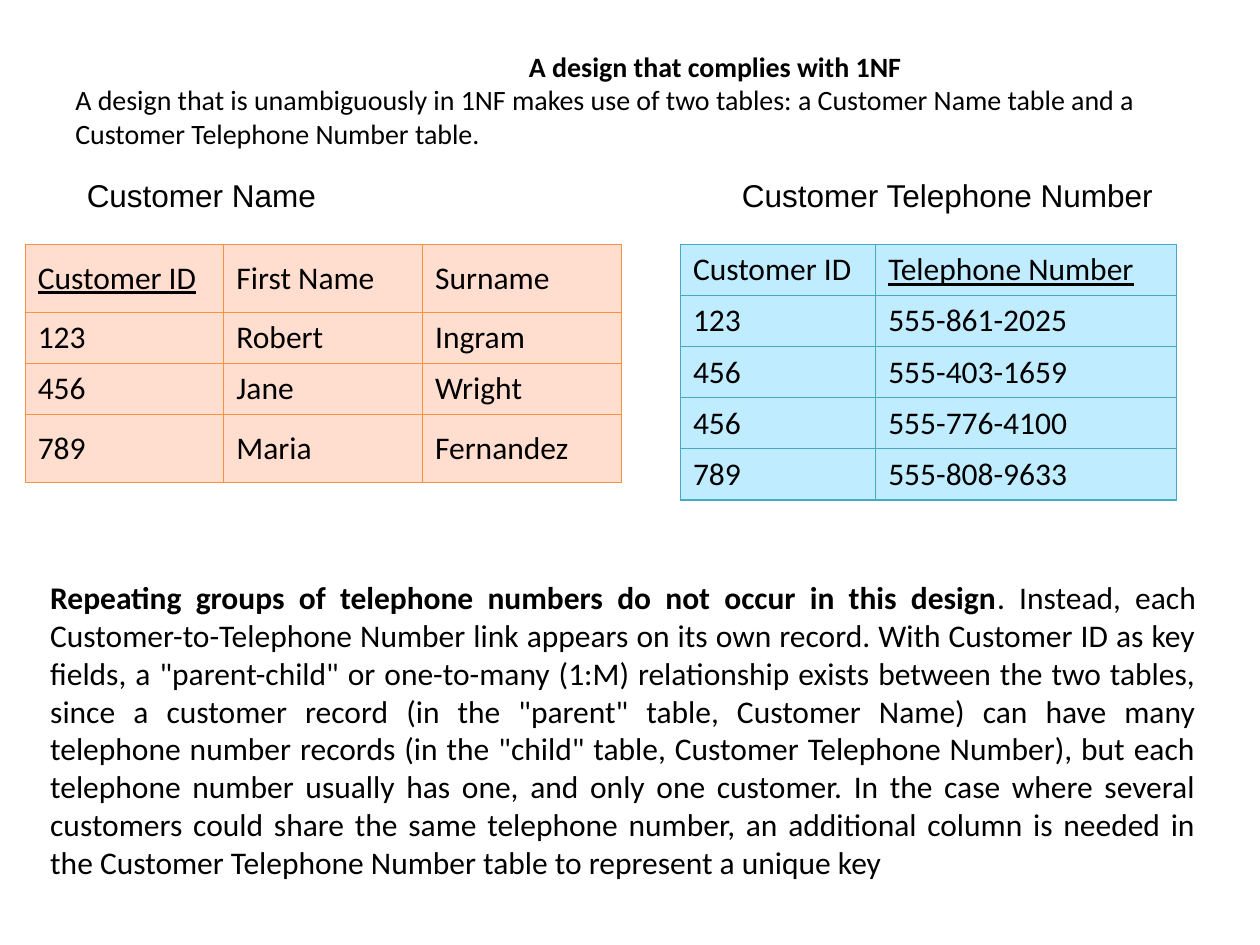
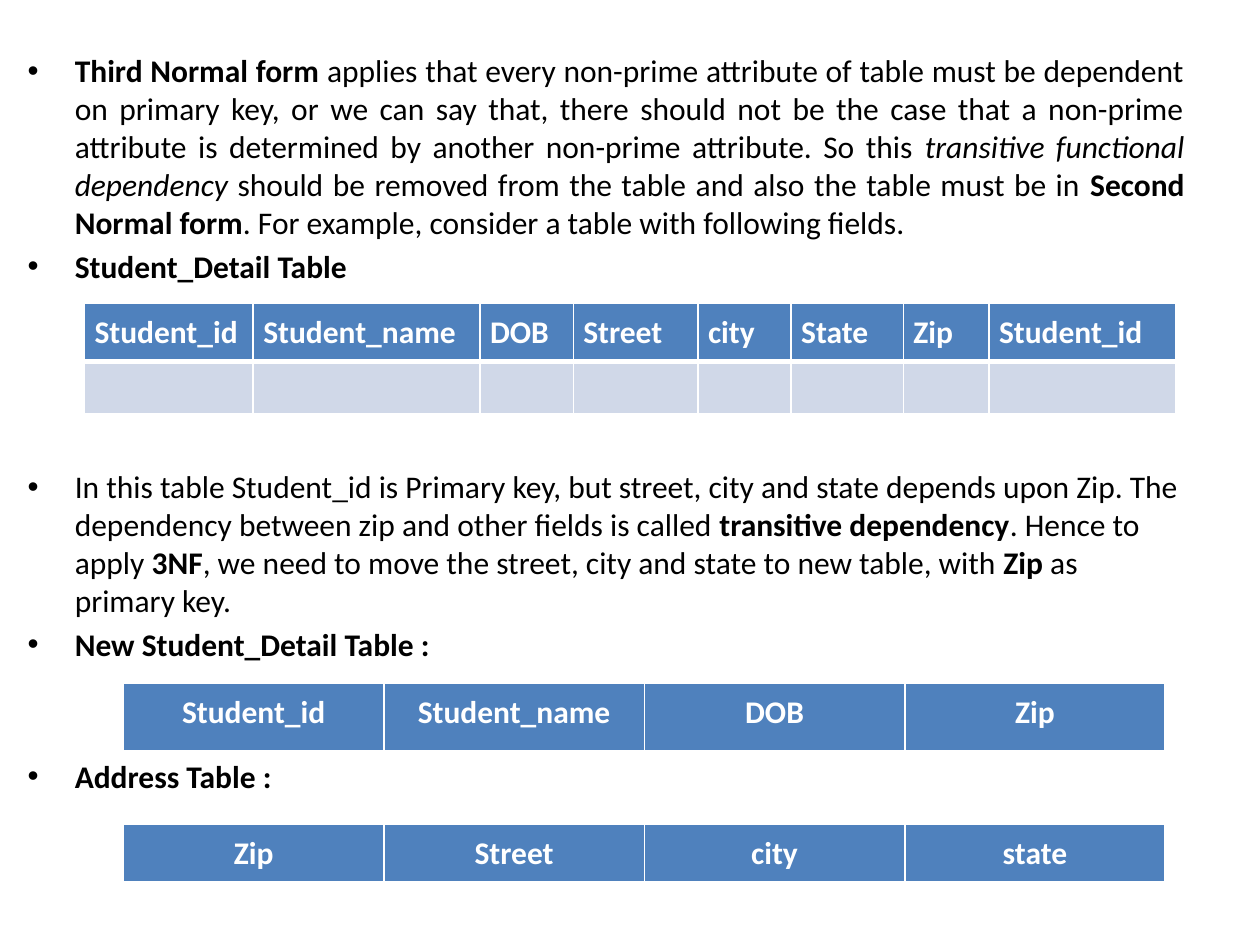
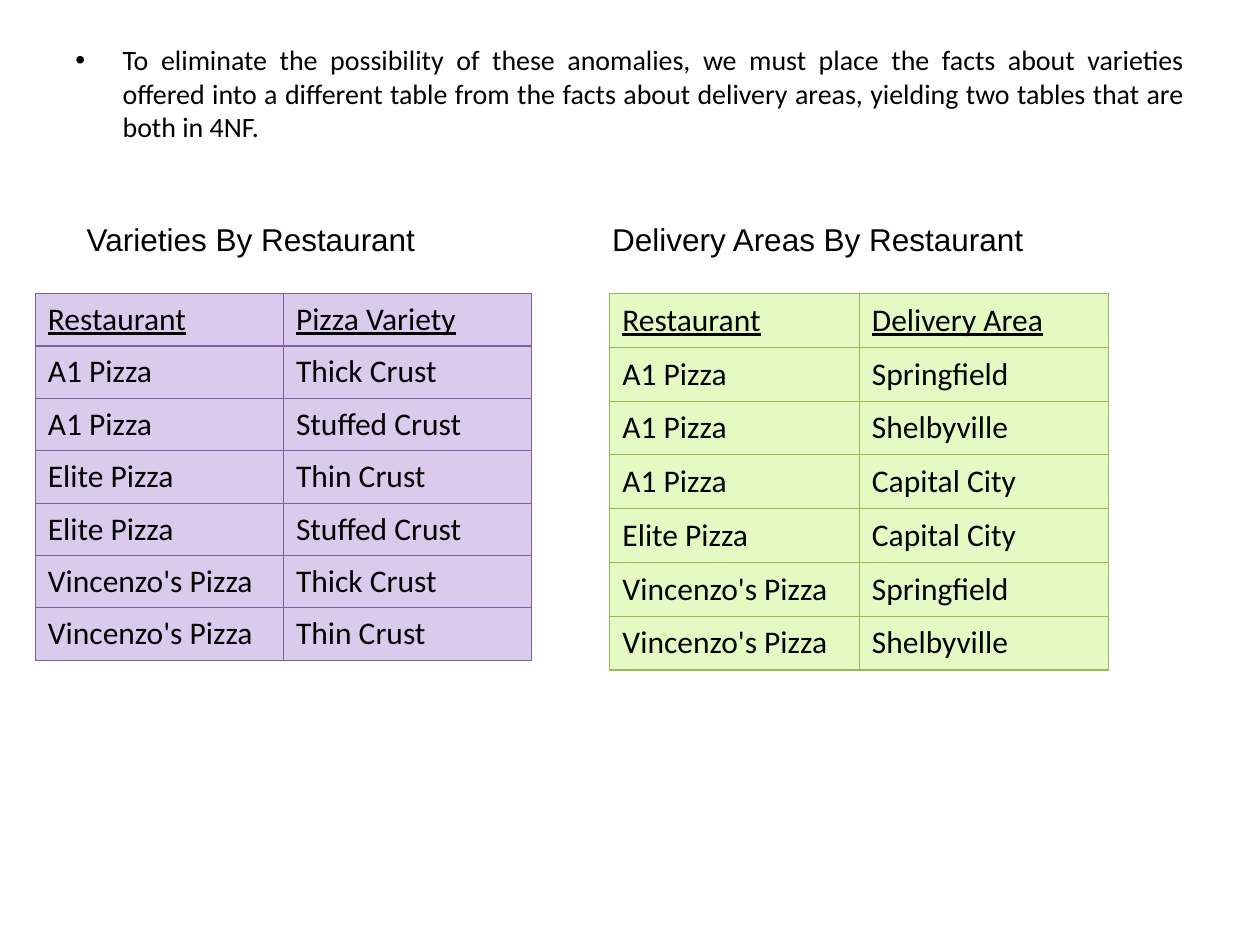
"""Builds three slides on the first, third and fourth database normal forms."""
import pptx
import pptx.dml.color
import pptx.enum.text
import pptx.oxml
import pptx.oxml.ns
import pptx.util
from lxml import etree

RGB = pptx.dml.color.RGBColor
ALIGN = pptx.enum.text.PP_ALIGN
ANCHOR = pptx.enum.text.MSO_ANCHOR
FIT = pptx.enum.text.MSO_AUTO_SIZE
Pt = pptx.util.Pt
qn = pptx.oxml.ns.qn

BLACK = RGB(0x00, 0x00, 0x00)
WHITE = RGB(0xFF, 0xFF, 0xFF)
HEADER_BLUE = RGB(0x4F, 0x81, 0xBD)
PALE_BLUE = RGB(0xD0, 0xD8, 0xE8)
ORANGE = (RGB(0xFF, 0xDD, 0xCF), RGB(0xF6, 0x92, 0x40))
AQUA = (RGB(0xBF, 0xEC, 0xFF), RGB(0x46, 0xAA, 0xC5))
PURPLE = (RGB(0xDA, 0xCB, 0xED), RGB(0x7D, 0x60, 0xA0))
GREEN = (RGB(0xE3, 0xFB, 0xC2), RGB(0x98, 0xB9, 0x55))

COLUMNS, ROWS = 100, 75
BODY_SIZE, SMALL_SIZE = 18, 16
BULLET_GAP = 3.6
LINE_STEP = 25.2
HANGING = 3.75


class Deck:
    """Holds the text style and the current slide, measured on a 100 by 75 grid."""

    def __init__(self):
        self.file = pptx.Presentation()
        self.file.slide_width = pptx.util.Inches(10)
        self.file.slide_height = pptx.util.Inches(7.5)
        self.slide = None

    def new_slide(self):
        self.slide = self.file.slides.add_slide(self.file.slide_layouts[6])

    def across(self, columns):
        return round(self.file.slide_width * columns / COLUMNS)

    def down(self, rows):
        return round(self.file.slide_height * rows / ROWS)

    def place(self, left, top, width, height):
        return self.across(left), self.down(top), self.across(width), self.down(height)

    def style(self, font, size=BODY_SIZE, color=BLACK, marks="", face="Calibri"):
        font.name, font.size, font.color.rgb = face, Pt(size), color
        font.bold, font.italic, font.underline = ("b" in marks, "i" in marks, "u" in marks)

    def frame(self, area, anchor=ANCHOR.TOP, wrap=True, fit=FIT.NONE):
        frame = self.slide.shapes.add_textbox(*self.place(*area)).text_frame
        frame.word_wrap, frame.vertical_anchor, frame.auto_size = wrap, anchor, fit
        return frame

    def add_pieces(self, paragraph, pieces, size=BODY_SIZE):
        for words, marks in pieces:
            run = paragraph.add_run()
            run.text = words
            self.style(run.font, size, marks=marks)

    def heading(self, area, title, lead, indent):
        frame = self.frame(area, ANCHOR.MIDDLE)
        frame.margin_bottom = self.down(3.2)
        frame.text = f"{title}\n{lead}"
        for paragraph, marks in zip(frame.paragraphs, ("b", "")):
            self.style(paragraph.runs[0].font, SMALL_SIZE, marks=marks)
        frame.paragraphs[0]._p.get_or_add_pPr().set("marL", str(self.across(indent)))

    def caption(self, area, words):
        frame = self.frame(area, ANCHOR.MIDDLE, wrap=False)
        frame.text = words
        self.style(frame.paragraphs[0].runs[0].font, face="Arial")

    def passage(self, area, pieces):
        frame = self.frame(area, fit=FIT.SHAPE_TO_FIT_TEXT)
        frame.paragraphs[0].alignment = ALIGN.JUSTIFY
        self.add_pieces(frame.paragraphs[0], pieces)

    def bullets(self, area, items, size=BODY_SIZE):
        frame = self.frame(area)
        for number, (pieces, lines_above) in enumerate(items):
            paragraph = frame.add_paragraph() if number else frame.paragraphs[0]
            properties = paragraph._p.get_or_add_pPr()
            properties.set("marL", str(self.across(HANGING)))
            properties.set("indent", str(-self.across(HANGING)))
            etree.SubElement(properties, qn("a:buFont")).set("typeface", "Arial")
            etree.SubElement(properties, qn("a:buChar")).set("char", "•")
            if number:
                paragraph.space_before = Pt(BULLET_GAP + lines_above * LINE_STEP)
            else:
                paragraph.alignment = ALIGN.JUSTIFY
            self.add_pieces(paragraph, pieces, size)

    def border(self, cell, color, left=1, right=1, top=1, bottom=1):
        properties = cell._tc.get_or_add_tcPr()
        for side, width in zip("LRTB", (left, right, top, bottom)):
            line = etree.SubElement(properties, qn(f"a:ln{side}"), w=str(Pt(width)))
            paint = etree.SubElement(line, qn("a:solidFill"))
            etree.SubElement(paint, qn("a:srgbClr"), val=str(color))

    def grid(self, left, top, widths, heights):
        area = self.place(left, top, sum(widths), sum(heights))
        table = self.slide.shapes.add_table(len(heights), len(widths), *area).table
        table.first_row = table.horz_banding = False
        for column, width in zip(table.columns, widths):
            column.width = self.across(width)
        for row, height in zip(table.rows, heights):
            row.height = self.down(height)
        return table

    def records(self, left, top, widths, heights, colors, keys, rows):
        fill, edge = colors
        table = self.grid(left, top, widths, heights)
        for r, values in enumerate(rows):
            for c, value in enumerate(values):
                cell = table.cell(r, c)
                self.border(cell, edge, *[0.75] * 4)
                cell.fill.solid()
                cell.fill.fore_color.rgb = fill
                cell.vertical_anchor = ANCHOR.MIDDLE
                cell.text = value
                marks = "u" if r == 0 and c in keys else ""
                self.style(cell.text_frame.paragraphs[0].runs[0].font, marks=marks)

    def fields(self, left, top, widths, heights, names, align=ALIGN.CENTER):
        table = self.grid(left, top, widths, heights)
        for c, name in enumerate(names):
            cell = table.cell(0, c)
            self.border(cell, WHITE, bottom=3)
            cell.fill.solid()
            cell.fill.fore_color.rgb = HEADER_BLUE
            cell.margin_left = cell.margin_right = self.across(0.8)
            cell.margin_top = cell.margin_bottom = self.down(0.8)
            cell.text = name
            heading = cell.text_frame.paragraphs[0]
            heading.alignment = align
            self.style(heading.runs[0].font, color=WHITE, marks="b")
            for r in range(1, len(heights)):
                empty = table.cell(r, c)
                self.border(empty, WHITE, top=3)
                empty.fill.solid()
                empty.fill.fore_color.rgb = PALE_BLUE


def first_form(deck):
    """Adds the slide on first normal form."""
    deck.new_slide()
    deck.heading(
        (5, 3, 90, 12.5), "A design that complies with 1NF",
        "A design that is unambiguously in 1NF makes use of two tables: a Customer Name "
        "table and a Customer Telephone Number table.", 36)
    deck.records(2, 19.4, [15.77] * 3, [5.4, 4, 4, 5.4], ORANGE, {0}, [
        ("Customer ID", "First Name", "Surname"),
        ("123", "Robert", "Ingram"),
        ("456", "Jane", "Wright"),
        ("789", "Maria", "Fernandez")])
    deck.caption((5.9, 13.5, 21.1, 4), "Customer Name")
    deck.records(54, 19.4, [15.5, 23.9], [4] * 5, AQUA, {1}, [
        ("Customer ID", "Telephone Number"),
        ("123", "555-861-2025"),
        ("456", "555-403-1659"),
        ("456", "555-776-4100"),
        ("789", "555-808-9633")])
    deck.caption((57.9, 13.5, 35.6, 4), "Customer Telephone Number")
    deck.passage((3, 45.4, 92.9, 25.2), [
        ("Repeating groups of telephone numbers do not occur in this design", "b"),
        (". Instead, each Customer-to-Telephone Number link appears on its own record. With "
         "Customer ID as key fields, a \"parent-child\" or one-to-many (1:M) relationship "
         "exists between the two tables, since a customer record (in the \"parent\" table, "
         "Customer Name) can have many telephone number records (in the \"child\" table, "
         "Customer Telephone Number), but each telephone number usually has one, and only "
         "one customer. In the case where several customers could share the same telephone "
         "number, an additional column is needed in the Customer Telephone Number table to "
         "represent a unique key", "")])


def third_form(deck):
    """Adds the slide on third normal form."""
    deck.new_slide()
    deck.bullets((1.2, 3.6, 93.8, 71.4), [
        ([("Third Normal form", "b"),
          (" applies that every non-prime attribute of table must be dependent on primary "
           "key, or we can say that, there should not be the case that a non-prime attribute "
           "is determined by another non-prime attribute. So this ", ""),
          ("transitive functional dependency", "i"),
          (" should be removed from the table and also the table must be in ", ""),
          ("Second Normal form", "b"),
          (". For example, consider a table with following fields.", "")], 0),
        ([("Student_Detail Table", "b")], 0),
        ([("In this table Student_id is Primary key, but street, city and state depends upon "
           "Zip. The dependency between zip and other fields is called ", ""),
          ("transitive dependency", "b"),
          (". Hence to apply ", ""),
          ("3NF", "b"),
          (", we need to move the street, city and state to new table, with ", ""),
          ("Zip", "b"),
          (" as primary key.", "")], 4),
        ([("New Student_Detail Table :", "b")], 0),
        ([("Address Table :", "b")], 2)])
    deck.fields(6.7, 24.1, [13.4, 18, 7.4, 9.9, 7.4, 8.9, 6.8, 14.8], [4.6, 4.1],
                ["Student_id", "Student_name", "DOB", "Street", "city", "State", "Zip",
                 "Student_id"], ALIGN.LEFT)
    for top, height, names in (
            (54.2, 5.5, ["Student_id", "Student_name", "DOB", "Zip"]),
            (65.4, 4.7, ["Zip", "Street", "city", "state"])):
        deck.fields(9.8, top, [20.67] * 4, [height], names)


def fourth_form(deck):
    """Adds the slide on fourth normal form."""
    deck.new_slide()
    deck.bullets((5, 2.9, 90, 64.1), [
        ([("To eliminate the possibility of these anomalies, we must place the facts about "
           "varieties offered into a different table from the facts about delivery areas, "
           "yielding two tables that are both in 4NF.", "")], 0)], SMALL_SIZE)
    deck.records(2.8, 23.3, [19.7] * 2, [4.16] * 7, PURPLE, {0, 1}, [
        ("Restaurant", "Pizza Variety"),
        ("A1 Pizza", "Thick Crust"),
        ("A1 Pizza", "Stuffed Crust"),
        ("Elite Pizza", "Thin Crust"),
        ("Elite Pizza", "Stuffed Crust"),
        ("Vincenzo's Pizza", "Thick Crust"),
        ("Vincenzo's Pizza", "Thin Crust")])
    deck.caption((5.9, 17, 29, 4), "Varieties By Restaurant")
    deck.records(48.4, 23.3, [19.8] * 2, [4.27] * 7, GREEN, {0, 1}, [
        ("Restaurant", "Delivery Area"),
        ("A1 Pizza", "Springfield"),
        ("A1 Pizza", "Shelbyville"),
        ("A1 Pizza", "Capital City"),
        ("Elite Pizza", "Capital City"),
        ("Vincenzo's Pizza", "Springfield"),
        ("Vincenzo's Pizza", "Shelbyville")])
    deck.caption((47.6, 17, 35.7, 4), "Delivery Areas By Restaurant")


def main():
    """Builds the slides and saves them."""
    deck = Deck()
    first_form(deck)
    third_form(deck)
    fourth_form(deck)
    deck.file.save("out.pptx")


if __name__ == "__main__":
    main()
